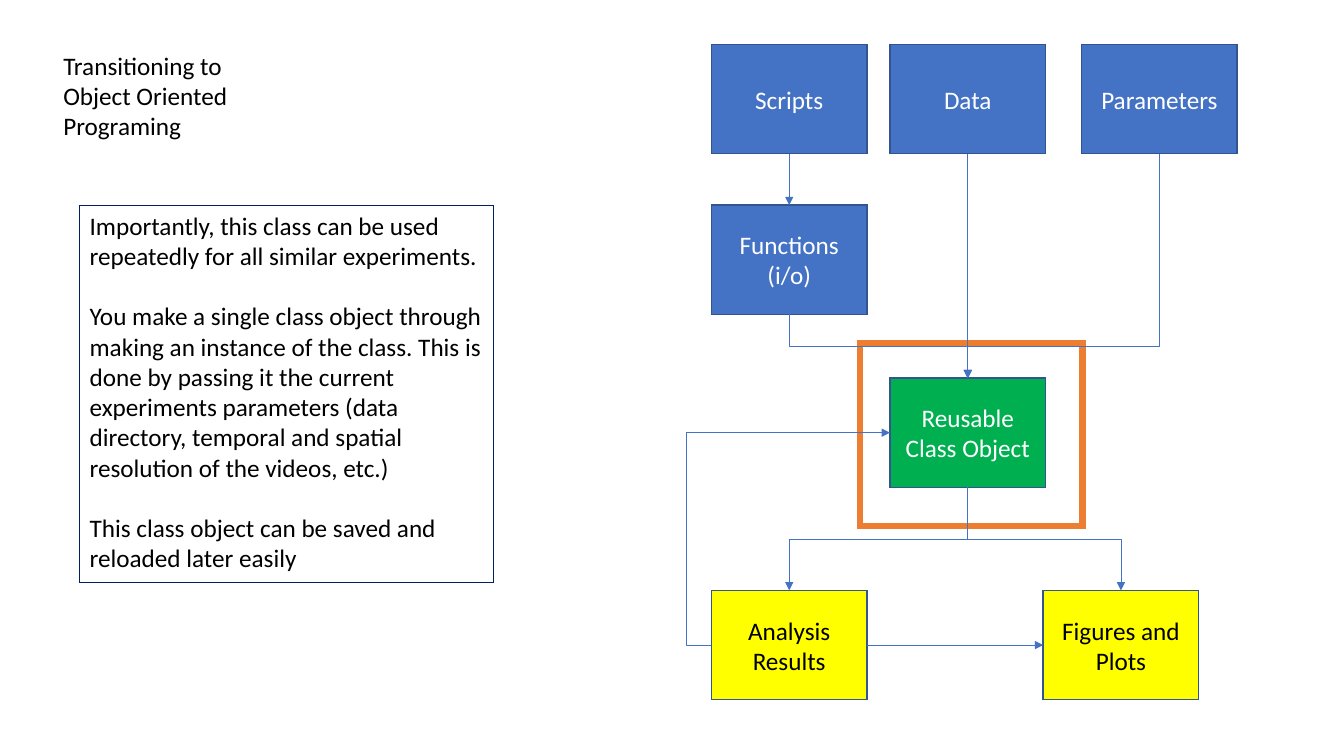
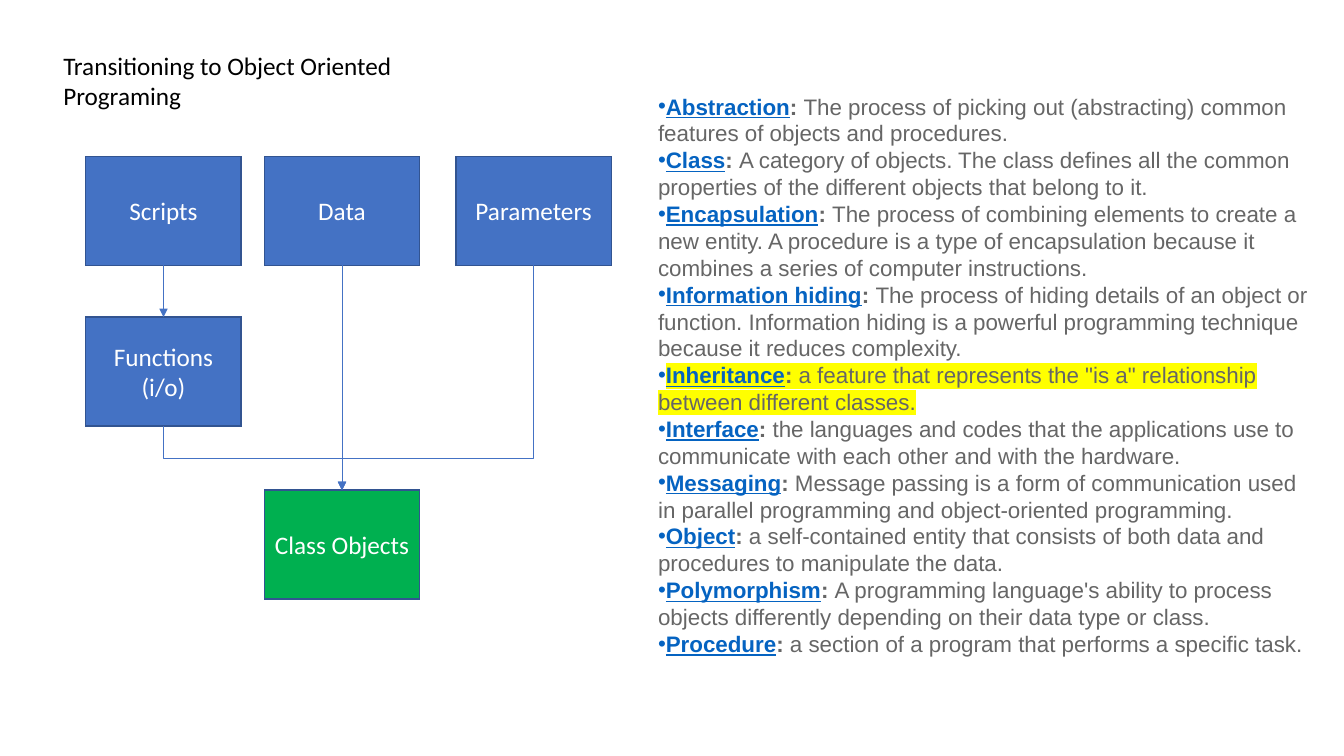
from lxml.etree import SubElement
from pptx import Presentation
from pptx.dml.color import RGBColor
from pptx.enum.shapes import MSO_CONNECTOR, MSO_SHAPE
from pptx.enum.text import MSO_ANCHOR, MSO_AUTO_SIZE, PP_ALIGN
from pptx.oxml import parse_xml
from pptx.oxml.ns import nsdecls, qn
from pptx.util import Cm, Pt

COLORS = {
    "blue": "4472C4", "outline": "325491", "green": "00B050",
    "yellow": "FFFF00", "orange": "ED7D31", "navy": "002060",
    "link": "0563C1", "gray": "666666", "white": "FFFFFF", "black": "000000",
}
TITLE = "Transitioning to Object Oriented Programing"
TITLE_LEFT, TITLE_TOP = 1.34, 1.13

# Flow grid in centimetres, relative to the flow's top left corner
BOX_WIDTH, BOX_HEIGHT = 3.92, 2.75
DATA_X, PARAMETERS_X, FIGURES_X = 4.5, 9.33, 8.36
FUNCTIONS_Y, CLASS_Y, RESULTS_Y = 4.05, 8.41, 13.76
PARAMETERS_BEND = 0.857

NOTES = [
    "Importantly, this class can be used repeatedly for all similar experiments.",
    "You make a single class object through making an instance of the class. "
    "This is done by passing it the current experiments parameters (data "
    "directory, temporal and spatial resolution of the videos, etc.)",
    "This class object can be saved and reloaded later easily",
]
HIGHLIGHTED_TERM = "Inheritance"
DEFINITIONS = {
    "Abstraction": "The process of picking out (abstracting) common features of "
                   "objects and procedures.",
    "Class": "A category of objects. The class defines all the common properties "
             "of the different objects that belong to it.",
    "Encapsulation": "The process of combining elements to create a new entity. A "
                     "procedure is a type of encapsulation because it combines a "
                     "series of computer instructions.",
    "Information hiding": "The process of hiding details of an object or function. "
                          "Information hiding is a powerful programming technique "
                          "because it reduces complexity.",
    "Inheritance": "a feature that represents the \"is a\" relationship between "
                   "different classes.",
    "Interface": "the languages and codes that the applications use to communicate "
                 "with each other and with the hardware.",
    "Messaging": "Message passing is a form of communication used in parallel "
                 "programming and object-oriented programming.",
    "Object": "a self-contained entity that consists of both data and procedures "
              "to manipulate the data.",
    "Polymorphism": "A programming language's ability to process objects "
                    "differently depending on their data type or class.",
    "Procedure": "a section of a program that performs a specific task.",
}


def color(name):
    return RGBColor.from_string(COLORS[name])


def format_run(run, color_name, size=18, font_name="Calibri"):
    run.font.size = Pt(size)
    run.font.color.rgb = color(color_name)
    run.font.name = font_name


def format_text(text_frame, color_name, alignment, anchor):
    text_frame.word_wrap = True
    text_frame.auto_size = MSO_AUTO_SIZE.NONE
    text_frame.vertical_anchor = anchor
    for paragraph in text_frame.paragraphs:
        paragraph.alignment = alignment
        for run in paragraph.runs:
            format_run(run, color_name)


def place(shape, left, top, width, height):
    shape.left, shape.top = Cm(left), Cm(top)
    shape.width, shape.height = Cm(width), Cm(height)


def add_title(slide, width, height):
    title = slide.shapes.title
    place(title, TITLE_LEFT, TITLE_TOP, width, height)
    title.text_frame.text = TITLE
    format_text(title.text_frame, "black", PP_ALIGN.LEFT, MSO_ANCHOR.TOP)


def add_rectangle(slide, left, top, width, height, fill, line, line_width):
    shape = slide.shapes.add_shape(
        MSO_SHAPE.RECTANGLE, Cm(left), Cm(top), Cm(width), Cm(height))
    shape.shadow.inherit = False
    shape.fill.solid()
    shape.fill.fore_color.rgb = color(fill)
    shape.line.color.rgb = color(line)
    shape.line.width = Pt(line_width)
    # Square corners
    SubElement(shape.element.spPr.find(qn("a:ln")), qn("a:miter"), lim="800000")
    return shape


def add_box(slide, left, top, text, fill="blue", text_color="white"):
    box = add_rectangle(slide, left, top, BOX_WIDTH, BOX_HEIGHT, fill, "outline", 1)
    box.text_frame.text = text
    format_text(box.text_frame, text_color, PP_ALIGN.CENTER, MSO_ANCHOR.MIDDLE)


# Connectors
def add_arrow(slide, start, end, kind=MSO_CONNECTOR.STRAIGHT, bend=None):
    arrow = slide.shapes.add_connector(kind, *(Cm(value) for value in (*start, *end)))
    arrow.line.color.rgb = color("blue")
    arrow.line.width = Pt(0.5)
    properties = arrow.element.spPr
    SubElement(properties.find(qn("a:ln")), qn("a:tailEnd"), type="triangle")
    SubElement(properties, qn("a:effectLst"))
    if bend is not None:
        adjustments = properties.find(qn("a:prstGeom")).get_or_add_avLst()
        SubElement(adjustments, qn("a:gd"), name="adj1",
                   fmla=f"val {round(bend * 100000)}")
    return arrow


def add_downward_elbow(slide, start, end, bend=None):
    """Elbow that leaves and arrives vertically: a sideways one, turned."""
    middle_x, middle_y = (start[0] + end[0]) / 2, (start[1] + end[1]) / 2
    goes_right = end[0] > start[0]
    reach = (end[1] - start[1]) / 2 * (-1 if goes_right else 1)
    spread = abs(end[0] - start[0]) / 2
    arrow = add_arrow(slide, (middle_x - reach, middle_y - spread),
                      (middle_x + reach, middle_y + spread),
                      MSO_CONNECTOR.ELBOW, bend)
    degrees = 270 if goes_right else 90
    arrow.element.spPr.find(qn("a:xfrm")).set("rot", str(degrees * 60000))


def add_input_flow(slide, left, top, class_text):
    """Scripts, data and parameters that lead into the class box."""
    add_box(slide, left, top, "Scripts")
    add_box(slide, left + DATA_X, top, "Data")
    add_box(slide, left + PARAMETERS_X, top, "Parameters")
    add_box(slide, left, top + FUNCTIONS_Y, "Functions\n(i/o)")
    add_box(slide, left + DATA_X, top + CLASS_Y, class_text, "green")

    center = left + BOX_WIDTH / 2
    bottom = top + BOX_HEIGHT
    class_entry = (center + DATA_X, top + CLASS_Y)
    add_arrow(slide, (center, bottom), (center, top + FUNCTIONS_Y))
    add_arrow(slide, (center + DATA_X, bottom), class_entry)
    add_downward_elbow(slide, (center, bottom + FUNCTIONS_Y), class_entry)
    add_downward_elbow(slide, (center + PARAMETERS_X, bottom), class_entry,
                       PARAMETERS_BEND)


def add_output_flow(slide, left, top):
    """Results and figures that come out of the class box."""
    results_top = top + RESULTS_Y
    add_box(slide, left, results_top, "Analysis Results", "yellow", "black")
    add_box(slide, left + FIGURES_X, results_top, "Figures and Plots",
            "yellow", "black")

    center = left + BOX_WIDTH / 2
    results_middle = results_top + BOX_HEIGHT / 2
    class_exit = (center + DATA_X, top + CLASS_Y + BOX_HEIGHT)
    for offset in (0, FIGURES_X):
        add_downward_elbow(slide, class_exit, (center + offset, results_top))
    add_arrow(slide, (left + BOX_WIDTH, results_middle),
              (left + FIGURES_X, results_middle))
    add_arrow(slide, (left, results_middle),
              (left + DATA_X, top + CLASS_Y + BOX_HEIGHT / 2),
              MSO_CONNECTOR.ELBOW, -0.141)


def add_class_frame(slide, left, top):
    add_rectangle(slide, left + 3.74, top + 7.52, 5.61, 4.62, "white", "orange", 4.5)


def add_notes_box(slide, left, top, width, height):
    box = add_rectangle(slide, left, top, width, height, "white", "navy", 0.75)
    box.fill.background()
    box.text_frame.text = "\n".join(NOTES)
    format_text(box.text_frame, "black", PP_ALIGN.LEFT, MSO_ANCHOR.TOP)
    for paragraph in box.text_frame.paragraphs[:-1]:
        paragraph.space_after = Pt(21.5)


def add_definitions(slide, left, top, width, height):
    body = slide.placeholders[1]
    place(body, left, top, width, height)
    text_frame = body.text_frame
    text_frame.text = "\n".join(DEFINITIONS)
    format_text(text_frame, "link", PP_ALIGN.LEFT, MSO_ANCHOR.TOP)
    for paragraph, (term, meaning) in zip(text_frame.paragraphs, DEFINITIONS.items()):
        paragraph.space_before = Pt(0)
        properties = paragraph._p.get_or_add_pPr()
        properties.set("marL", "0")
        properties.set("indent", "0")
        SubElement(properties, qn("a:buFont"), typeface="Arial")
        SubElement(properties, qn("a:buChar"), char="•")

        for text in (":", "\u00a0" + meaning):
            paragraph.add_run().text = text
        # Term, colon, meaning: colour, bold, underline
        styles = (("link", True, True), ("gray", True, False), ("gray", False, False))
        for run, (color_name, bold, underline) in zip(paragraph.runs, styles):
            format_run(run, color_name, 16, "Arial")
            run.font.bold = bold
            run.font.underline = underline
            if term == HIGHLIGHTED_TERM:
                run.font._element.find(qn("a:solidFill")).addnext(parse_xml(
                    f'<a:highlight {nsdecls("a")}>'
                    f'<a:srgbClr val="{COLORS["yellow"]}"/></a:highlight>'))


# Slides
def build_reuse_slide(presentation):
    slide = presentation.slides.add_slide(
        presentation.slide_layouts.get_by_name("Title Only"))
    flow_left, flow_top = 17.93, 1.12
    add_class_frame(slide, flow_left, flow_top)
    add_title(slide, 5.64, 2.57)
    add_input_flow(slide, flow_left, flow_top, "Reusable Class Object")
    add_output_flow(slide, flow_left, flow_top)
    add_notes_box(slide, 2.01, 5.17, 10.44, 9.5)


def build_terms_slide(presentation):
    slide = presentation.slides.add_slide(
        presentation.slide_layouts.get_by_name("Title and Content"))
    add_title(slide, 9.7, 1.8)
    add_input_flow(slide, 2.16, 3.94, "Class Objects")
    add_definitions(slide, 16.33, 2.21, 17.07, 14.63)


presentation = Presentation()
presentation.slide_width, presentation.slide_height = Cm(33.87), Cm(19.05)
build_reuse_slide(presentation)
build_terms_slide(presentation)
presentation.save("out.pptx")
